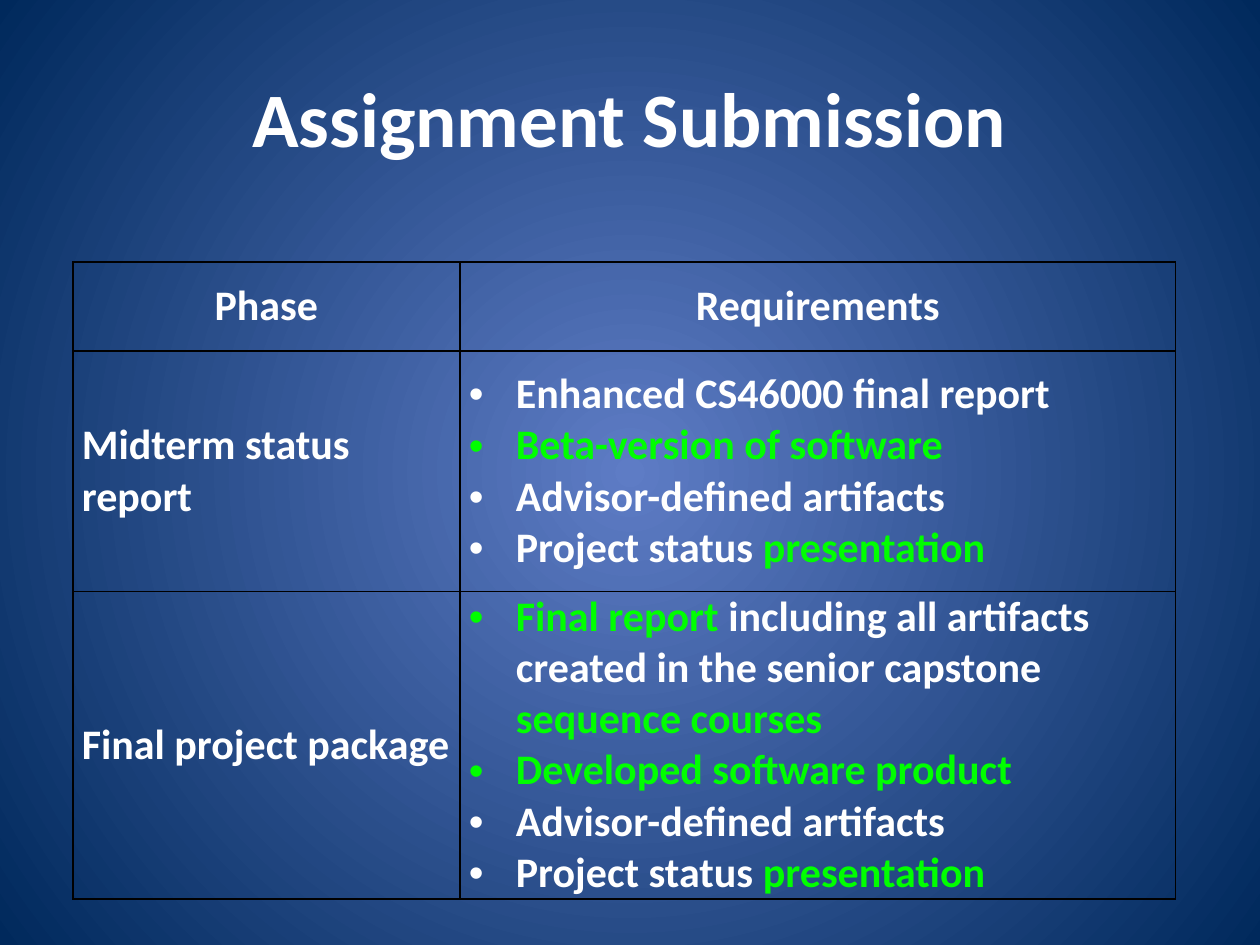
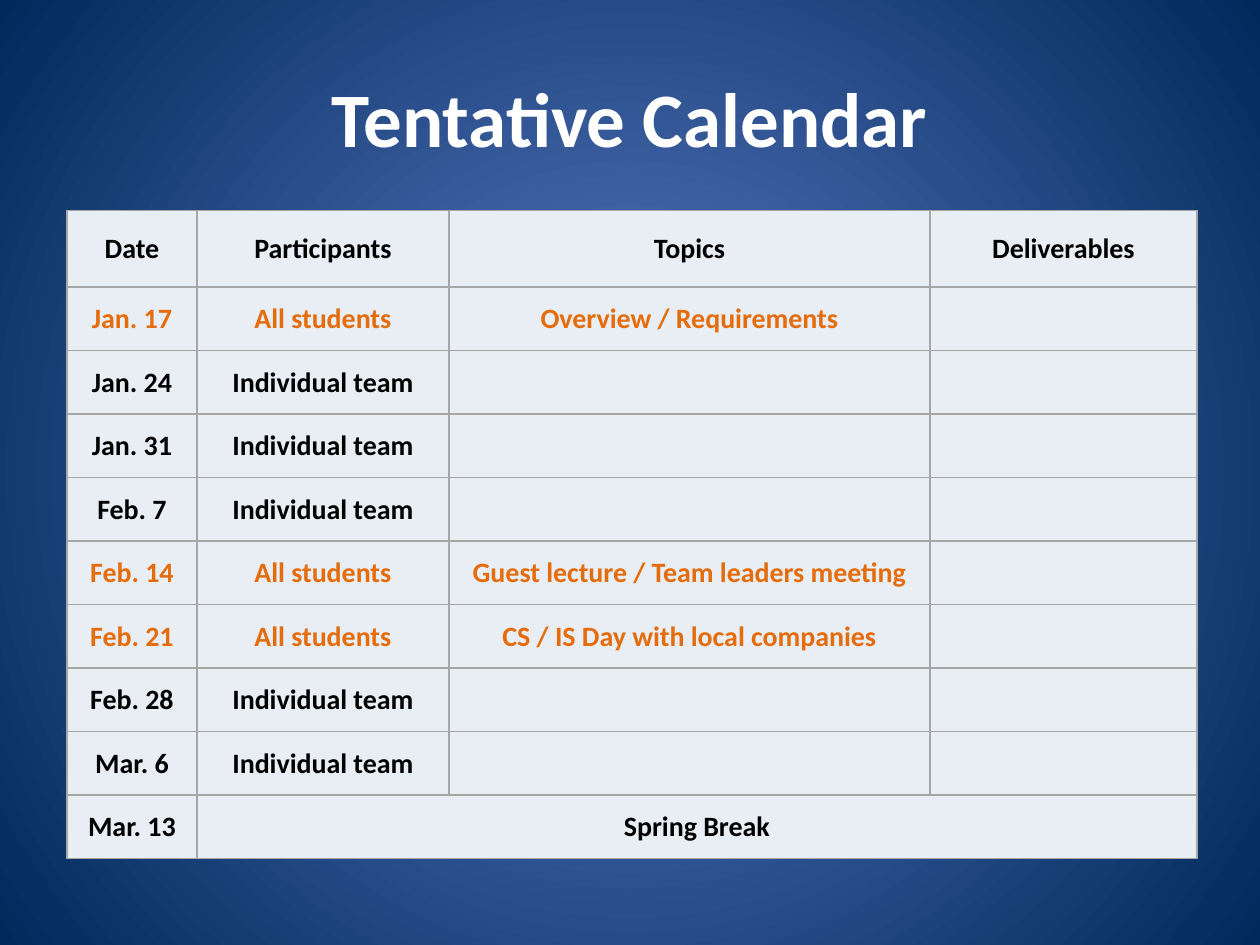
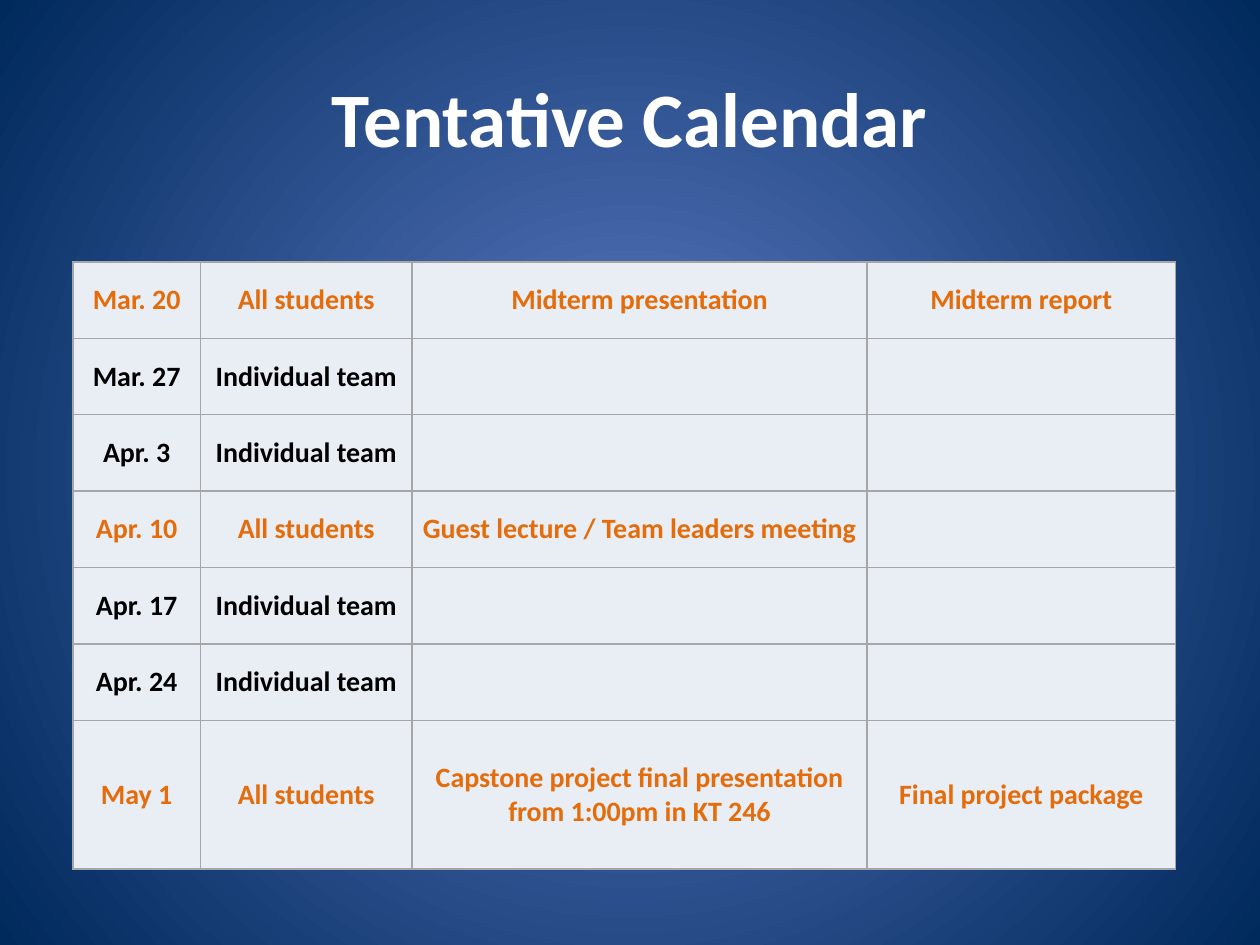
from dataclasses import dataclass

from lxml import etree
from pptx import Presentation
from pptx import util as u
from pptx.dml.color import RGBColor
from pptx.enum import text
from pptx.oxml import parse_xml
from pptx.oxml.ns import nsdecls, qn

FONT = "Calibri"
COLORS = {
    "glow": "5E7CC5",
    "navy": "00295C",
    "white": "FFFFFF",
    "black": "000000",
    "green": "00FF00",
    "orange": "E46C0A",
    "pale": "E9EDF4",
    "grey": "A6A6A6",
}
EVERYONE, TEAM = "All students", "Individual team"
TEAM_LEADERS = "Guest lecture / Team leaders meeting"


@dataclass
class Grid:
    """Place and measures (cm) of a table, with its colours and text size."""
    left: float
    top: float
    columns: list[float]
    rows: list[float]
    border: str
    size: int
    fill: str | None = None


# Content: asterisks enclose the words set in green
REQUIREMENTS = [
    ("Midterm status report", [
        "Enhanced CS46000 final report",
        "*Beta-version of software*",
        "Advisor-defined artifacts",
        "Project status *presentation*",
    ]),
    ("Final project package", [
        "*Final report *including all artifacts created in the senior capstone *sequence courses*",
        "*Developed software product*",
        "Advisor-defined artifacts",
        "Project status *presentation*",
    ]),
]
FIRST_HALF = [
    ("Date", "Participants", "Topics", "Deliverables"),
    ("Jan. 17", EVERYONE, "Overview / Requirements"),
    ("Jan. 24", TEAM),
    ("Jan. 31", TEAM),
    ("Feb. 7", TEAM),
    ("Feb. 14", EVERYONE, TEAM_LEADERS),
    ("Feb. 21", EVERYONE, "CS / IS Day with local companies"),
    ("Feb. 28", TEAM),
    ("Mar. 6", TEAM),
    ("Mar. 13", "Spring Break"),
]
SECOND_HALF = [
    ("Mar. 20", EVERYONE, "Midterm presentation", "Midterm report"),
    ("Mar. 27", TEAM),
    ("Apr. 3", TEAM),
    ("Apr. 10", EVERYONE, TEAM_LEADERS),
    ("Apr. 17", TEAM),
    ("Apr. 24", TEAM),
    ("May 1", EVERYONE, "Capstone project final presentation from 1:00pm in KT 246",
     "Final project package"),
]

REQUIREMENTS_GRID = Grid(1.47, 5.28, [7.8, 14.43], [1.8, 4.84, 6.05], "black", 24)
FIRST_GRID = Grid(1.35, 4.24, [2.62, 5.08, 9.7, 5.38], [1.55] + [1.28] * 9,
                  "grey", 16, "pale")
SECOND_GRID = Grid(1.47, 5.28, [2.57, 4.27, 9.17, 6.22], [1.54] * 6 + [3],
                   "grey", 16, "pale")


# Shared look
def paint_background(prs) -> None:
    """Give the master a radial gradient from its centre outwards."""
    fill = prs.slide_master.background.fill
    fill.gradient()
    properties = prs.slide_master.element.cSld.find(f"{qn('p:bg')}/{qn('p:bgPr')}")
    properties.replace(properties.find(qn("a:gradFill")), parse_xml(
        f'<a:gradFill {nsdecls("a")} rotWithShape="1"><a:gsLst>'
        f'<a:gs pos="0"><a:srgbClr val="{COLORS["glow"]}"/></a:gs>'
        f'<a:gs pos="100000"><a:srgbClr val="{COLORS["navy"]}"/></a:gs></a:gsLst>'
        '<a:path path="circle"><a:fillToRect l="50000" t="50000" r="50000" b="50000"/>'
        '</a:path></a:gradFill>'))


def style_run(run, size: int, color: str) -> None:
    run.font.name = FONT
    run.font.size = u.Pt(size)
    run.font.bold = True
    run.font.color.rgb = RGBColor.from_string(COLORS[color])


def add_titled_slide(prs, heading: str):
    slide = prs.slides.add_slide(prs.slide_layouts[5])
    title = slide.shapes.title
    title.left, title.top = u.Cm(1.27), u.Cm(0.76)
    title.width, title.height = u.Cm(22.86), u.Cm(3.18)
    title.text_frame.text = heading
    title.text_frame.vertical_anchor = text.MSO_ANCHOR.MIDDLE
    paragraph = title.text_frame.paragraphs[0]
    paragraph.alignment = text.PP_ALIGN.CENTER
    style_run(paragraph.runs[0], 44, "white")
    return slide


# Tables
def add_borders(cell, color: str) -> None:
    properties = cell._tc.get_or_add_tcPr()
    for side in ("lnL", "lnR", "lnT", "lnB"):
        line = etree.SubElement(properties, qn(f"a:{side}"), w=str(u.Pt(1)))
        solid = etree.SubElement(line, qn("a:solidFill"))
        etree.SubElement(solid, qn("a:srgbClr"), val=COLORS[color])


def add_grid(slide, grid: Grid):
    frame = slide.shapes.add_table(
        len(grid.rows), len(grid.columns), u.Cm(grid.left), u.Cm(grid.top),
        u.Cm(sum(grid.columns)), u.Cm(sum(grid.rows)))
    table = frame.table
    table.first_row = table.horz_banding = False
    for column, width in zip(table.columns, grid.columns):
        column.width = u.Cm(width)
    for row, height in zip(table.rows, grid.rows):
        row.height = u.Cm(height)
    for cell in table.iter_cells():
        cell.margin_left = cell.margin_right = u.Cm(0.18)
        cell.margin_top = cell.margin_bottom = 0
        cell.vertical_anchor = text.MSO_ANCHOR.MIDDLE
        add_borders(cell, grid.border)
        if grid.fill:
            cell.fill.solid()
            cell.fill.fore_color.rgb = RGBColor.from_string(COLORS[grid.fill])
        else:
            cell.fill.background()
    return table


def write_cell(cell, words: str, size: int, color: str, centred: bool = True) -> None:
    cell.text_frame.text = words
    paragraph = cell.text_frame.paragraphs[0]
    paragraph.alignment = text.PP_ALIGN.CENTER if centred else text.PP_ALIGN.LEFT
    for run in paragraph.runs:
        style_run(run, size, color)


def write_bullets(cell, items: list[str], size: int) -> None:
    frame = cell.text_frame
    for index, item in enumerate(items):
        paragraph = frame.add_paragraph() if index else frame.paragraphs[0]
        properties = paragraph._p.get_or_add_pPr()
        properties.set("marL", str(u.Cm(0.95)))
        properties.set("indent", str(-u.Cm(0.95)))
        etree.SubElement(properties, qn("a:buFont"), typeface="Arial")
        etree.SubElement(properties, qn("a:buChar"), char="•")
        for position, part in enumerate(item.split("*")):
            if part:
                run = paragraph.add_run()
                run.text = part
                style_run(run, size, "green" if position % 2 else "white")


# Slides
def add_requirements(prs) -> None:
    grid = REQUIREMENTS_GRID
    table = add_grid(add_titled_slide(prs, "Assignment Submission"), grid)
    for column, heading in enumerate(("Phase", "Requirements")):
        write_cell(table.cell(0, column), heading, grid.size, "white")
    for row, (phase, items) in enumerate(REQUIREMENTS, start=1):
        write_cell(table.cell(row, 0), phase, grid.size, "white", centred=False)
        write_bullets(table.cell(row, 1), items, grid.size)
    table.cell(2, 1).vertical_anchor = text.MSO_ANCHOR.TOP


def add_calendar(prs, grid: Grid, meetings: list[tuple[str, ...]]):
    table = add_grid(add_titled_slide(prs, "Tentative Calendar"), grid)
    for row, meeting in enumerate(meetings):
        color = "orange" if EVERYONE in meeting else "black"
        for column, words in enumerate(meeting):
            write_cell(table.cell(row, column), words, grid.size, color)
    return table


def main() -> None:
    prs = Presentation()
    prs.slide_width, prs.slide_height = u.Cm(25.4), u.Cm(19.05)
    paint_background(prs)
    add_requirements(prs)
    first_half = add_calendar(prs, FIRST_GRID, FIRST_HALF)
    first_half.cell(9, 1).merge(first_half.cell(9, 3))  # Spring Break
    add_calendar(prs, SECOND_GRID, SECOND_HALF)
    prs.save("out.pptx")


if __name__ == "__main__":
    main()
